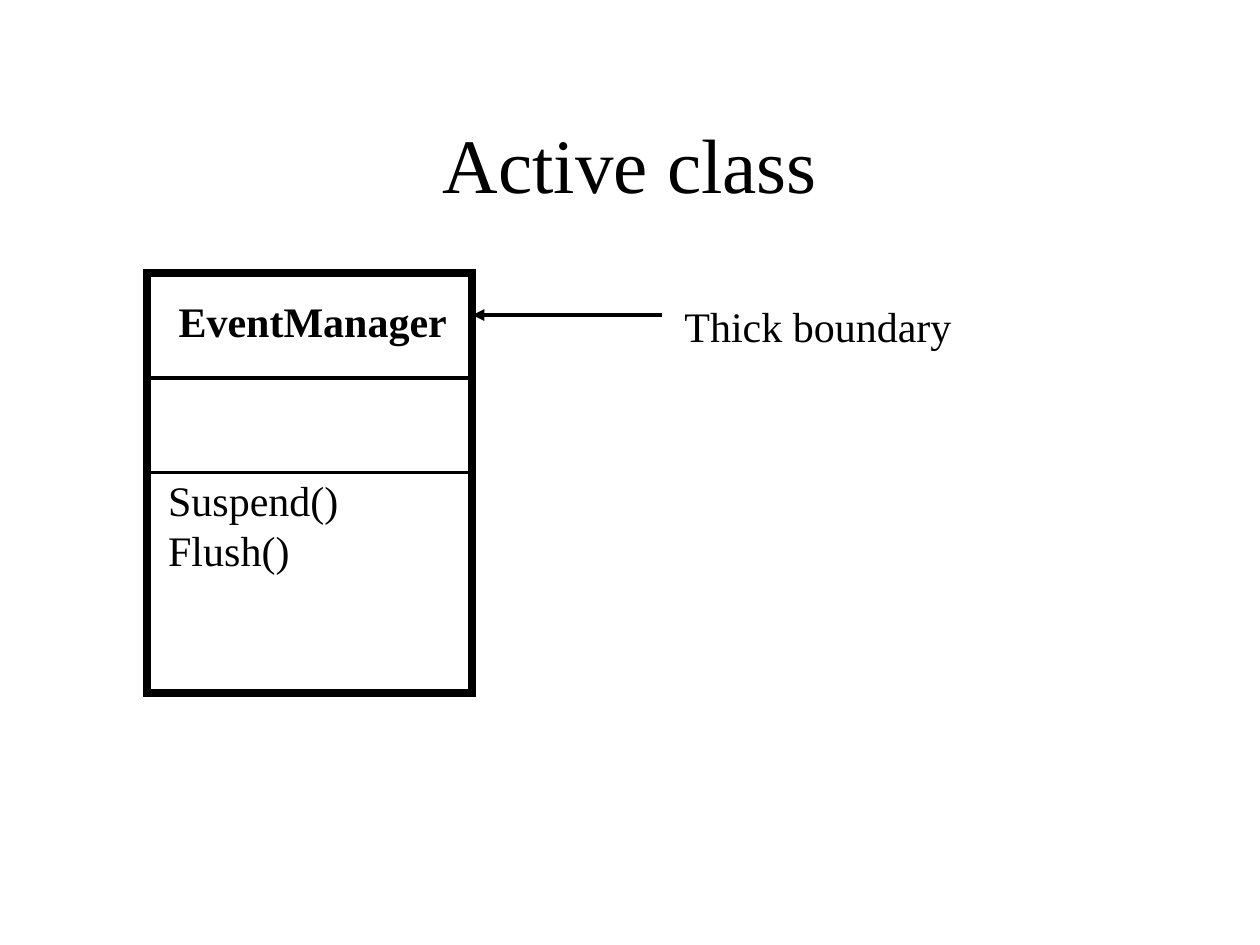
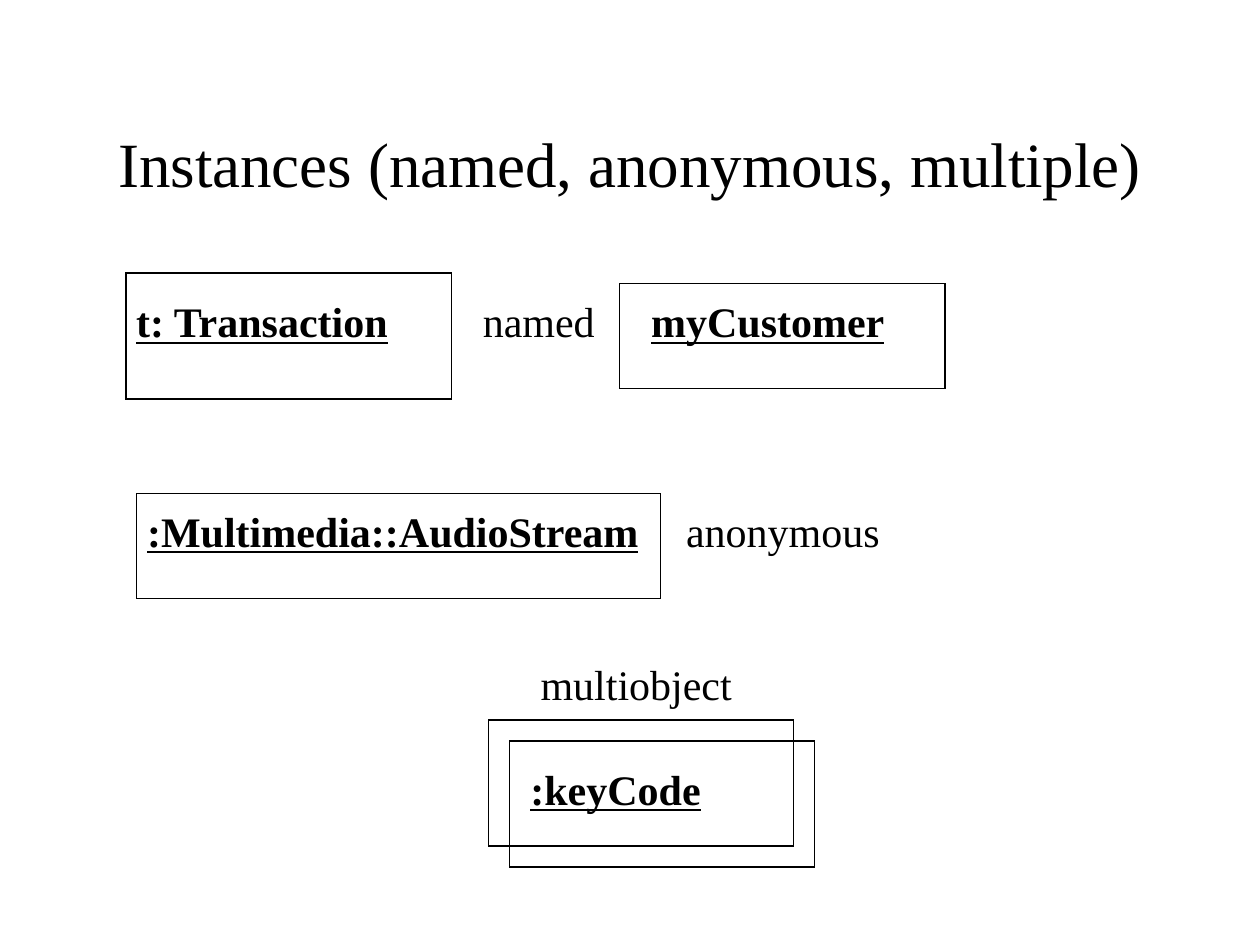
from lxml import etree
from pptx import Presentation
from pptx.dml.color import RGBColor
from pptx.enum.shapes import MSO_CONNECTOR, MSO_SHAPE
from pptx.enum.text import MSO_ANCHOR, MSO_AUTO_SIZE, PP_ALIGN
from pptx.oxml.ns import qn
from pptx.util import Pt

RECT = MSO_SHAPE.RECTANGLE
STRAIGHT = MSO_CONNECTOR.STRAIGHT
MIDDLE = MSO_ANCHOR.MIDDLE
CENTER = PP_ALIGN.CENTER
FIT_SHAPE = MSO_AUTO_SIZE.SHAPE_TO_FIT_TEXT

BLACK = RGBColor(0, 0, 0)
WHITE = RGBColor(255, 255, 255)
FONT = "Times New Roman"
BODY_SIZE = 24
LINE_HEIGHT = 28.8
PADDING = 7.2


def format_runs(tf, size, bold=False, underline=False):
    for p in tf.paragraphs:
        for r in p.runs:
            r.font.name = FONT
            r.font.size = Pt(size)
            r.font.bold = bold
            r.font.underline = underline
            r.font.color.rgb = BLACK


def add_slide(prs, title, size):
    s = prs.slides.add_slide(prs.slide_layouts[6])
    s.background.fill.solid()
    s.background.fill.fore_color.rgb = WHITE
    tf = s.shapes.add_textbox(Pt(54), Pt(48), Pt(612), Pt(90)).text_frame
    tf.word_wrap = True
    tf.vertical_anchor = MIDDLE
    tf.text = title
    tf.paragraphs[0].alignment = CENTER
    format_runs(tf, size)
    return s


def add_label(s, text, x, y, width, bold=False, underline=False):
    lines = text.count("\n") + 1
    height = lines * LINE_HEIGHT + PADDING
    tf = s.shapes.add_textbox(Pt(x), Pt(y), Pt(width), Pt(height)).text_frame
    tf.word_wrap = False
    tf.auto_size = FIT_SHAPE
    tf.text = text
    format_runs(tf, BODY_SIZE, bold, underline)


def add_box(s, x, y, width, height, weight=0.75):
    sp = s.shapes.add_shape(RECT, Pt(x), Pt(y), Pt(width), Pt(height))
    sp.shadow.inherit = False
    sp.fill.background()
    sp.line.color.rgb = BLACK
    sp.line.width = Pt(weight)
    ln = sp.element.spPr.find(qn("a:ln"))
    etree.SubElement(ln, qn("a:miter"), lim="800000")


def add_line(s, x1, x2, y, arrow=False):
    cxn = s.shapes.add_connector(STRAIGHT, Pt(x1), Pt(y), Pt(x2), Pt(y))
    cxn.line.color.rgb = BLACK
    cxn.line.width = Pt(2.25)
    sp_pr = cxn.element.spPr
    if arrow:
        etree.SubElement(sp_pr.find(qn("a:ln")), qn("a:tailEnd"), type="triangle")
    etree.SubElement(sp_pr, qn("a:effectLst"))


def build_active_class(prs):
    s = add_slide(prs, "Active class", 44)
    left, width = 84, 186
    right = left + width
    add_box(s, left, 156, width, 240, weight=4.5)
    for divider_y in (216, 270):
        add_line(s, left, right, divider_y)
    add_label(s, "EventManager", 95, 165.6, 168)
    s.shapes[-1].text_frame.paragraphs[0].runs[0].font.bold = True
    add_label(s, "Suspend()\nFlush()", 89, 267.5, 112)
    add_line(s, right + 108, right, 180, arrow=True)
    add_label(s, "Thick boundary", 384, 168, 167)


def build_instances(prs):
    s = add_slide(prs, "Instances (named, anonymous, multiple)", 36)
    add_box(s, 72, 156, 186, 72)
    add_box(s, 354, 162, 186, 60)
    add_box(s, 78, 282, 299.5, 60)
    for offset in (0, 12):
        add_box(s, 279 + offset, 411.5 + offset, 174.4, 72)

    named_y, anonymous_y = 165.6, 285.4
    for text, x, y, width in (
        ("t: Transaction", 70.7, named_y, 160.6),
        ("myCustomer", 365, named_y, 147.6),
        (":Multimedia::AudioStream", 77, anonymous_y, 295.2),
        (":keyCode", 296, 432.8, 111.6),
    ):
        add_label(s, text, x, y, width, bold=True, underline=True)
    for text, x, y, width in (
        ("multiobject", 301.8, 373, 123.8),
        ("anonymous", 385, anonymous_y, 127),
        ("named", 268.8, named_y, 78.5),
    ):
        add_label(s, text, x, y, width)


def main():
    prs = Presentation()
    prs.slide_width, prs.slide_height = Pt(720), Pt(540)
    build_active_class(prs)
    build_instances(prs)
    prs.save("out.pptx")


if __name__ == "__main__":
    main()
